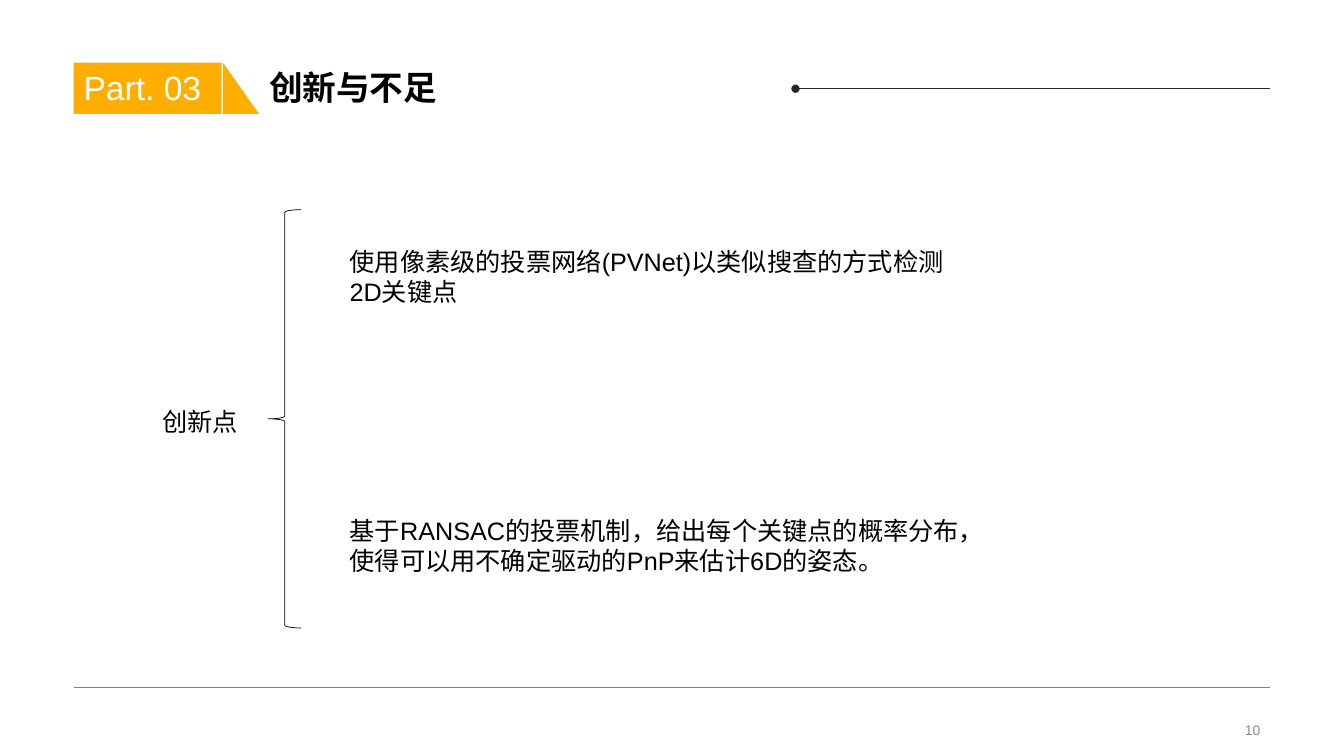
from lxml import etree
from pptx import Presentation
from pptx.dml.color import RGBColor
from pptx.enum.shapes import MSO_CONNECTOR, MSO_SHAPE
from pptx.enum.text import MSO_ANCHOR, PP_ALIGN
from pptx.oxml.ns import qn
from pptx.util import Inches, Pt

STRAIGHT = MSO_CONNECTOR.STRAIGHT
RECTANGLE, TRIANGLE, BRACE = MSO_SHAPE.RECTANGLE, MSO_SHAPE.RIGHT_TRIANGLE, MSO_SHAPE.LEFT_BRACE
TOP, MIDDLE, BOTTOM = MSO_ANCHOR.TOP, MSO_ANCHOR.MIDDLE, MSO_ANCHOR.BOTTOM
LEFT, RIGHT = PP_ALIGN.LEFT, PP_ALIGN.RIGHT

COLORS = {"accent": "FFAE00", "ink": "000000", "white": "FFFFFF",
          "rule": "262626", "footer_rule": "808080", "page": "8C8C8C"}
MARGIN_LEFT, MARGIN_RIGHT = 0.73, 12.6


def write_text(frame, text, size=18, color="ink", bold=False, align=LEFT,
               anchor=TOP, spacing=1.0, wrap=True):
    frame.word_wrap = wrap
    frame.vertical_anchor = anchor
    paragraph = frame.paragraphs[0]
    paragraph.alignment = align
    paragraph.line_spacing = spacing
    run = paragraph.add_run()
    run.text = text
    run.font.name = "Arial"
    run.font.size = Pt(size)
    run.font.bold = bold
    run.font.color.rgb = RGBColor.from_string(COLORS[color])


class SlideBuilder:
    def __init__(self, slide, line_width=0.5):
        self.shapes = slide.shapes
        self.line_width = Pt(line_width)

    def text(self, left, top, width, height, text, **style):
        box = self.shapes.add_textbox(*map(Inches, (left, top, width, height)))
        write_text(box.text_frame, text, **style)

    def shape(self, kind, left, top, width, height, fill=None, line=None):
        shape = self.shapes.add_shape(kind, *map(Inches, (left, top, width, height)))
        shape.shadow.inherit = False
        if fill:
            shape.fill.solid()
            shape.fill.fore_color.rgb = RGBColor.from_string(COLORS[fill])
        else:
            shape.fill.background()
        if line:
            self.stroke(shape.line, line)
        else:
            shape.line.fill.background()

    def rule(self, start, end, y, color, dot=False):
        rule = self.shapes.add_connector(STRAIGHT, *map(Inches, (start, y, end, y)))
        self.stroke(rule.line, color)
        if dot:
            etree.SubElement(rule.line._get_or_add_ln(), qn("a:headEnd"), type="oval")
        etree.SubElement(rule._element.spPr, qn("a:effectLst"))

    def stroke(self, line, color):
        line.color.rgb = RGBColor.from_string(COLORS[color])
        line.width = self.line_width


def main():
    deck = Presentation()
    deck.slide_width, deck.slide_height = Inches(13.33), Inches(7.5)
    page = SlideBuilder(deck.slides.add_slide(deck.slide_layouts[6]))

    # Header: section tag, title and dotted rule
    page.shape(RECTANGLE, MARGIN_LEFT, 0.62, 1.47, 0.51, fill="accent")
    page.shape(TRIANGLE, 2.21, 0.62, 0.36, 0.51, fill="accent")
    page.text(MARGIN_LEFT, 0.63, 2.05, 0.51, "Part. 03", size=24, color="white",
              anchor=MIDDLE, spacing=0.9)
    page.text(2.57, 0, 10.03, 1.12, "创新与不足", size=24, bold=True,
              anchor=BOTTOM, spacing=0.9)
    page.rule(7.89, MARGIN_RIGHT, 0.88, "rule", dot=True)

    # Innovations gathered by a brace
    page.text(1.51, 3.98, 0.96, 0.61, "创新点", wrap=False)
    page.shape(BRACE, 2.66, 2.08, 0.33, 4.15, line="ink")
    innovations = [
        (2.39, "使用像素级的投票网络(PVNet)以类似搜查的方式检测2D关键点"),
        (5.06, "基于RANSAC的投票机制，给出每个关键点的概率分布，"
               "使得可以用不确定驱动的PnP来估计6D的姿态。"),
    ]
    for top, innovation in innovations:
        page.text(3.37, top, 6.25, 0.71, innovation)

    # Footer
    page.rule(MARGIN_LEFT, MARGIN_RIGHT, 6.82, "footer_rule")
    page.text(9.42, 7.13, 3.18, 0.23, "10", size=10, color="page",
              align=RIGHT, anchor=MIDDLE)

    deck.save("out.pptx")


if __name__ == "__main__":
    main()
